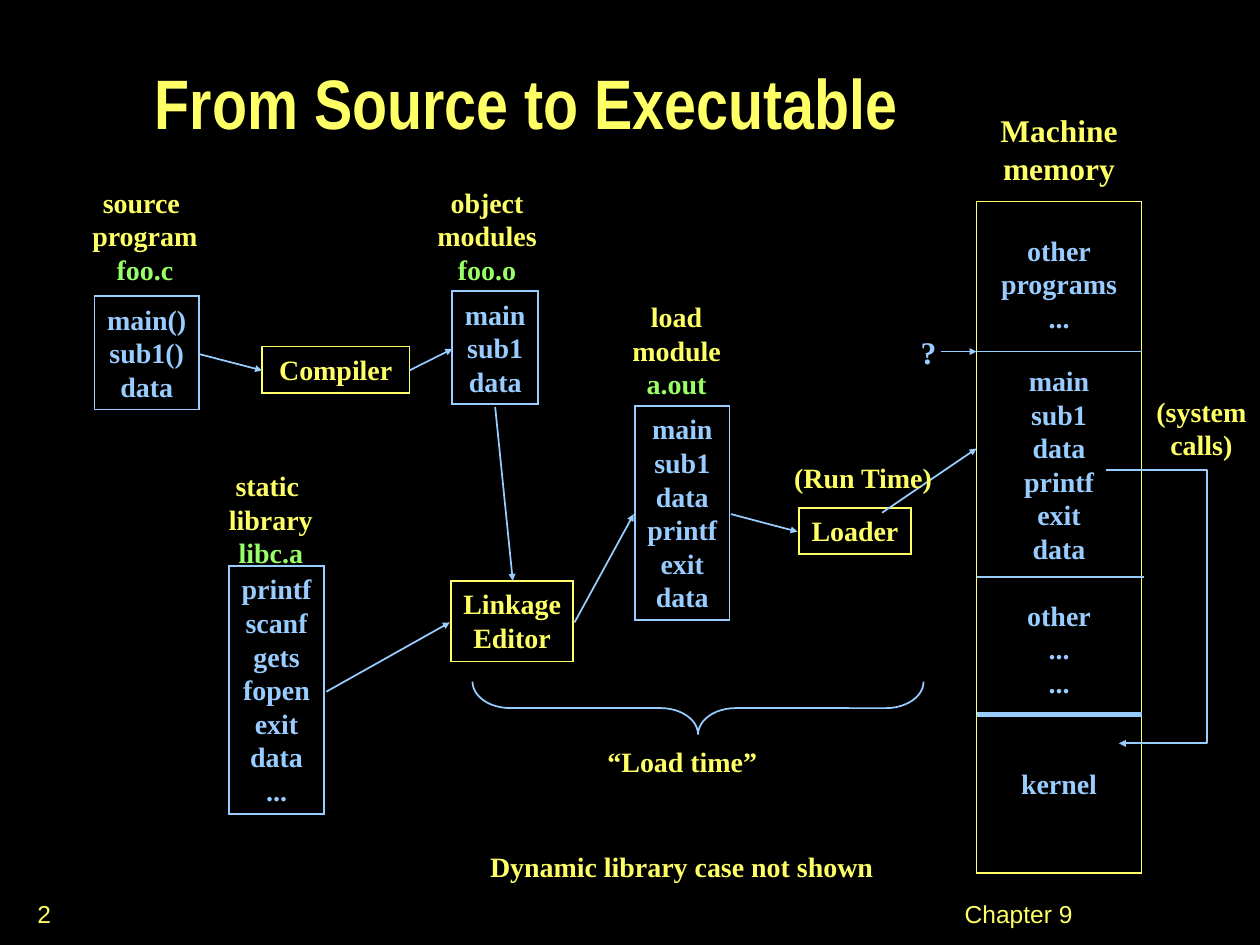
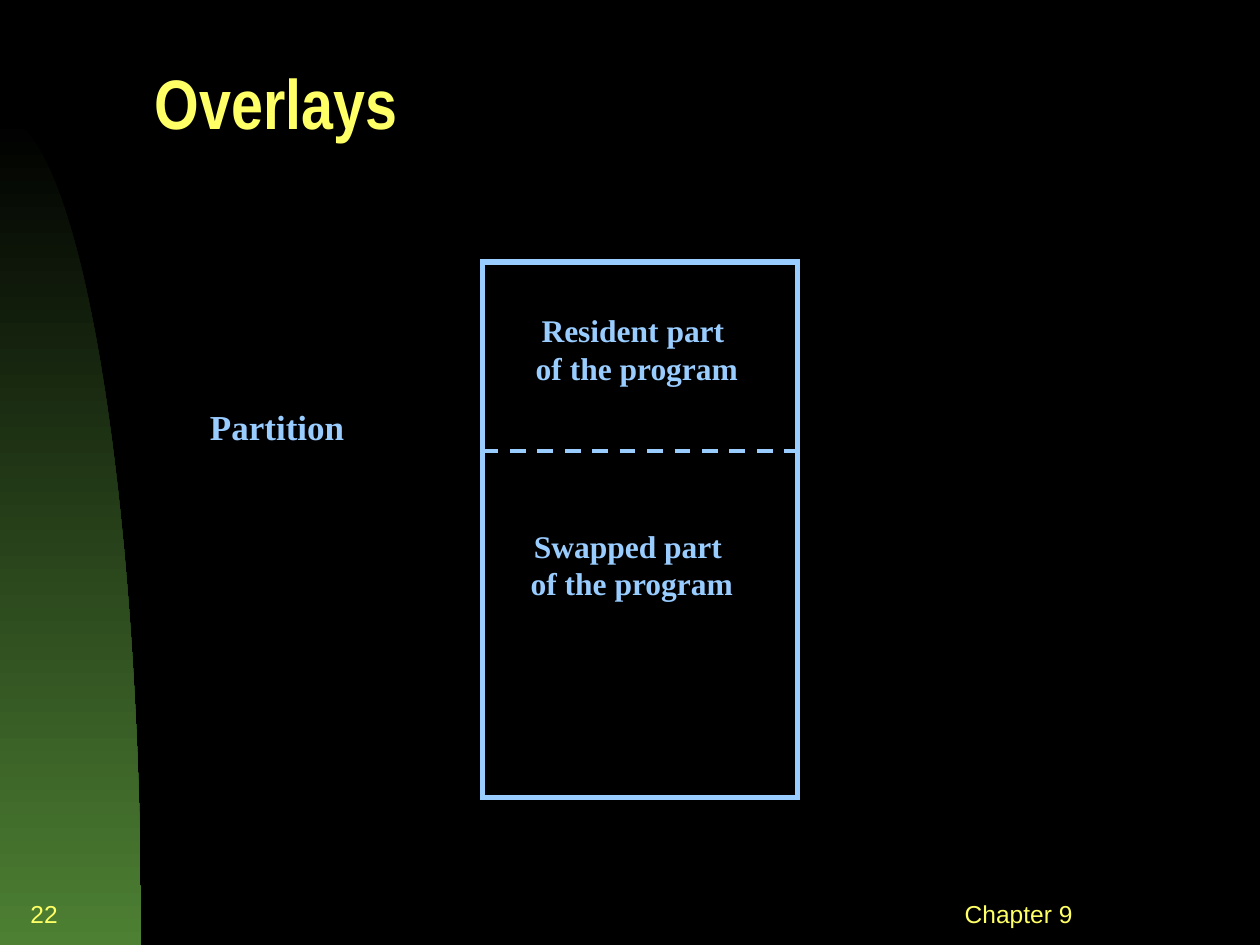
import math

import pptx
import pptx.dml.color
import pptx.enum.dml
import pptx.enum.shapes
import pptx.enum.text
import pptx.oxml
import pptx.oxml.ns
import pptx.util
from pptx.util import Inches

COLORS = {
    "background": "000000",
    "yellow": "FFFF66",
    "blue": "99CCFF",
    "green": "99FF66",
    "arc_end": "4D8033",
}
SERIF = "Times New Roman"
SHAPES = pptx.enum.shapes.MSO_SHAPE
CONNECTORS = pptx.enum.shapes.MSO_CONNECTOR
ALIGN = pptx.enum.text.PP_ALIGN
ANCHOR = pptx.enum.text.MSO_ANCHOR


def rgb(color):
    return pptx.dml.color.RGBColor.from_string(COLORS[color])


def inches(*lengths):
    return [Inches(length) for length in lengths]


def append_xml(parent, tag, attributes=""):
    parent.append(pptx.oxml.parse_xml(
        f'<a:{tag} {pptx.oxml.ns.nsdecls("a")} {attributes}/>'))


def write(shape, text, color, size=16, font=SERIF, bold=True, align=ALIGN.CENTER,
          anchor=ANCHOR.TOP, wrap=False):
    frame = shape.text_frame
    frame.word_wrap = wrap
    if not wrap:
        frame.margin_left = frame.margin_right = 0
    frame.vertical_anchor = anchor
    frame.text = text
    for paragraph in frame.paragraphs:
        paragraph.alignment = align
        for run in paragraph.runs:
            run.font.name = font
            run.font.size = pptx.util.Pt(size)
            run.font.bold = bold
            run.font.color.rgb = rgb(color)
    return frame


def add_label(slide, text, place, color="yellow", **style):
    return write(slide.shapes.add_textbox(*inches(*place)), text, color, **style)


def add_outline(slide, place, color, width=1, kind=SHAPES.RECTANGLE):
    outline = slide.shapes.add_shape(kind, *inches(*place))
    outline.shadow.inherit = False
    outline.fill.background()
    outline.line.color.rgb = rgb(color)
    outline.line.width = pptx.util.Pt(width)
    append_xml(outline.line._get_or_add_ln(), "miter", 'lim="800000"')
    return outline


def add_box(slide, text, place, color="blue"):
    return write(add_outline(slide, place, color), text, color)


def add_file(slide, caption, caption_place, contents, contents_place):
    add_box(slide, contents, contents_place)
    frame = add_label(slide, caption, caption_place)
    frame.paragraphs[-1].runs[0].font.color.rgb = rgb("green")


def add_line(slide, start, end, width=1, arrow=False, dash=None, kind=CONNECTORS.STRAIGHT):
    line = slide.shapes.add_connector(kind, *inches(*start, *end))
    line.line.color.rgb = rgb("blue")
    line.line.width = pptx.util.Pt(width)
    if dash:
        line.line.dash_style = dash
    if arrow:
        append_xml(line.line._get_or_add_ln(), "tailEnd", 'type="triangle" w="sm" len="sm"')
    append_xml(line._element.spPr, "effectLst")
    return line


def add_corner(slide, start, end, turn=0, arrow=False):
    corner = add_line(slide, start, end, arrow=arrow, kind=CONNECTORS.ELBOW)
    properties = corner._element.spPr
    properties.find(pptx.oxml.ns.qn("a:prstGeom")).set("prst", "bentConnector2")
    properties.find(pptx.oxml.ns.qn("a:xfrm")).set("rot", str(turn * 60000))


def add_arc(slide):
    width, top, bottom, steps = 1.12, 0.92, 7.5, 60
    angles = [math.pi / 2 * step / steps for step in range(steps + 1)]
    curve = [(Inches(width * math.sin(angle)),
              Inches(bottom - (bottom - top) * math.cos(angle))) for angle in angles]
    builder = slide.shapes.build_freeform(*curve[0])
    builder.add_line_segments(curve[1:] + [(0, Inches(bottom))], close=True)
    arc = builder.convert_to_shape()
    arc.shadow.inherit = False
    arc.line.fill.background()
    arc.fill.gradient()
    arc.fill.gradient_angle = 270
    for stop, color in zip(arc.fill.gradient_stops, ("background", "arc_end")):
        stop.color.rgb = rgb(color)


def add_slide(deck, title, number, arc=False):
    slide = deck.slides.add_slide(deck.slide_layouts[6])
    slide.background.fill.solid()
    slide.background.fill.fore_color.rgb = rgb("background")
    if arc:
        add_arc(slide)
    heading = add_label(slide, title, (1.13, 0.36, 8.62, 1.05), size=40, font="Arial Narrow",
                        align=ALIGN.LEFT, anchor=ANCHOR.MIDDLE, wrap=True)
    heading.paragraphs[0].line_spacing = 0.7
    footer = dict(size=14, font="Arial", bold=False, anchor=ANCHOR.MIDDLE, wrap=True)
    add_label(slide, "Chapter 9", (6.42, 7, 3.33, 0.5), **footer)
    add_label(slide, number, (0, 7, 0.7, 0.5), **footer)
    return slide


def add_memory(slide):
    left, right = 7.75, 9.06
    sections = ["other\nprograms\n...", "main\nsub1\ndata\nprintf\nexit\ndata",
                "other\n...\n...", "kernel"]
    add_label(slide, "Machine\nmemory", (7.84, 0.83, 1.13, 0.7), size=18)
    memory = add_outline(slide, (left, 1.6, right - left, 5.33), "yellow")
    frame = write(memory, "\n".join(sections), "blue")
    frame.margin_top = Inches(0.25)
    first = 0
    for section, gap in zip(sections, (0, 17, 19, 38.5)):
        if gap:
            frame.paragraphs[first].space_before = pptx.util.Pt(gap)
        first += len(section.split("\n"))
    for y, end, width in ((2.79, right, 1), (4.58, 9.08, 0.75), (5.67, right, 3)):
        add_line(slide, (left, y), (end, y), width)
    add_label(slide, "(system\ncalls)", (9.08, 3.08, 0.91, 0.64))
    add_corner(slide, (8.78, 3.73), (9.58, 4.71))
    add_corner(slide, (8.61, 4.93), (9.85, 5.63), turn=90, arrow=True)


def build_executable(deck):
    slide = add_slide(deck, "From Source to Executable", "2")
    add_file(slide, "source \nprogram\nfoo.c", (0.63, 1.42, 1.04, 0.9),
             "main()\nsub1()\ndata", (0.75, 2.35, 0.83, 0.9))
    add_file(slide, "object\nmodules\nfoo.o", (3.37, 1.42, 0.99, 0.9),
             "main\nsub1\ndata", (3.59, 2.31, 0.68, 0.9))
    add_file(slide, "static \nlibrary\nlibc.a", (1.72, 3.67, 0.86, 0.9),
             "printf\nscanf\ngets\nfopen\nexit\ndata\n...", (1.82, 4.49, 0.75, 1.97))
    add_file(slide, "load\nmodule\na.out", (4.92, 2.33, 0.9, 0.9),
             "main\nsub1\ndata\nprintf\nexit\ndata", (5.04, 3.22, 0.75, 1.7))
    add_box(slide, "Compiler", (2.08, 2.75, 1.17, 0.37), "yellow")
    add_box(slide, "Linkage\nEditor", (3.58, 4.61, 0.97, 0.64), "yellow")
    add_box(slide, "Loader", (6.34, 4.03, 0.89, 0.37), "yellow")
    add_memory(slide)

    flow = [
        ((1.58, 2.81), (2.08, 2.94)),
        ((3.25, 2.94), (3.59, 2.77)),
        ((3.93, 3.23), (4.07, 4.61)),
        ((2.59, 5.49), (3.57, 4.94)),
        ((4.56, 4.94), (5.03, 4.08)),
        ((5.8, 4.08), (6.33, 4.22)),
        ((7, 4.07), (7.75, 3.56)),
        ((7.47, 2.79), (7.75, 2.79)),
    ]
    for start, end in flow:
        add_line(slide, start, end, arrow=True)

    add_label(slide, "?", (7.21, 2.59, 0.32, 0.4), "blue", size=18)
    add_label(slide, "(Run Time)", (6.2, 3.61, 1.3, 0.37))
    load_time = add_outline(slide, (5.33, 3.83, 0.42, 3.58), "blue", kind=SHAPES.RIGHT_BRACE)
    load_time.rotation = 90
    load_time.adjustments[0] = 0.71
    add_label(slide, "“Load time”", (4.72, 5.86, 1.39, 0.37))
    add_label(slide, "Dynamic library case not shown", (3.79, 6.69, 3.24, 0.37))


def build_overlays(deck):
    slide = add_slide(deck, "Overlays", "22", arc=True)
    partition = add_outline(slide, (3.83, 2.08, 2.5, 4.25), "blue", width=3)
    partition.fill.solid()
    partition.fill.fore_color.rgb = rgb("background")
    add_line(slide, (3.83, 3.58), (6.33, 3.58), 2.25, dash=pptx.enum.dml.MSO_LINE.DASH)
    add_label(slide, "Partition", (1.57, 3.17, 1.26, 0.44), "blue", size=20)
    for part, left, top in (("Resident", 4.15, 2.42), ("Swapped", 4.11, 4.13)):
        add_label(slide, f"{part} part \nof the program", (left, top, 1.81, 0.7),
                  "blue", size=18)


def main():
    deck = pptx.Presentation()
    deck.slide_width, deck.slide_height = inches(10, 7.5)
    build_executable(deck)
    build_overlays(deck)
    deck.save("out.pptx")


if __name__ == "__main__":
    main()
